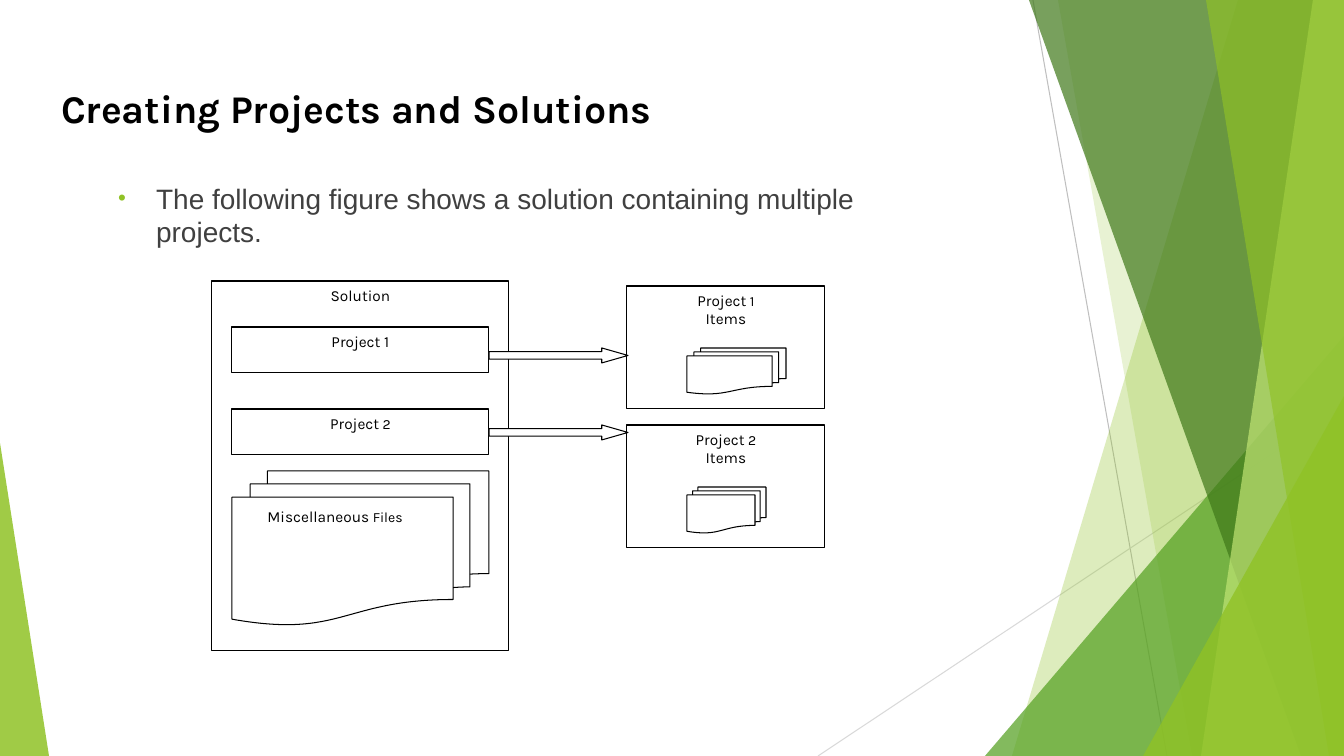
from lxml.etree import SubElement
from pptx import Presentation
from pptx.dml.color import RGBColor
from pptx.enum.shapes import MSO_CONNECTOR, MSO_SHAPE
from pptx.enum.text import MSO_ANCHOR, MSO_AUTO_SIZE, PP_ALIGN
from pptx.oxml.ns import qn
from pptx.util import Emu, Pt

BLACK = RGBColor(0x00, 0x00, 0x00)
WHITE = RGBColor(0xFF, 0xFF, 0xFF)
TEXT_GRAY = RGBColor(0x40, 0x40, 0x40)
LINE_GRAY = RGBColor(0xBF, 0xBF, 0xBF)
PALE_GRAY = RGBColor(0xD9, 0xD9, 0xD9)
LIME = RGBColor(0x90, 0xC2, 0x26)
LEAF = RGBColor(0x54, 0xA0, 0x21)
FOREST = RGBColor(0x3F, 0x78, 0x19)
PALE_LIME = RGBColor(0xC0, 0xE4, 0x74)

WIDTH, HEIGHT = 1344, 756
SCALE = 914400 / 100.8

TITLE = "Creating Projects and Solutions"
BODY = "The following figure shows a solution containing multiple projects."
TITLE_BOX = (51, 79, 966, 57)
BODY_BOX = (108, 176, 806, 84)
TITLE_FORMAT = {"name": "Karla", "size": Pt(28), "bold": True}
BODY_FORMAT = {"name": "Arial", "size": Pt(20)}

BACKGROUND_LINES = [
    ((1033, 0, 1167, 756), LINE_GRAY),
    ((1344, 406, 818, 756), PALE_GRAY),
]
BACKGROUND_SHAPES = [
    ("band", (1238, 1012), LIME, 30),
    ("band", (1058, 1192), LIME, 20),
    ("triangle", (985, 336, 359, 420, 1), LEAF, 72),
    ("band", (1029, 1301), FOREST, 70),
    ("band", (1313, 1201), PALE_LIME, 70),
    ("band", (1206, 1329), LIME, 65),
    ("triangle", (1143, 396, 201, 360, 1), LIME, 80),
    ("triangle", (0, 443, 49, 313, 0), LIME, 85),
]

RECTANGLE = MSO_SHAPE.RECTANGLE
DOCUMENTS = MSO_SHAPE.FLOWCHART_MULTIDOCUMENT
ARROW = MSO_SHAPE.RIGHT_ARROW
DIAGRAM = [
    (RECTANGLE, (212, 281, 297, 370), [[("Solution", 11)]]),
    (RECTANGLE, (232, 327, 257, 46), [[("Project 1", 11)]]),
    (RECTANGLE, (232, 409, 257, 46), [[("Project", 11), (" 2", 10)]]),
    (DOCUMENTS, (232, 471, 257, 154), []),
    (None, (236, 502, 198, 61), [[("Miscellaneous", 11), (" Files", 10)]]),
    (RECTANGLE, (627, 286, 198, 123), [[("Project", 11), (" 1", 10)], [("Items", 11)]]),
    (DOCUMENTS, (687, 348, 99, 46), []),
    (RECTANGLE, (627, 425, 198, 123), [[("Project", 11), (" 2", 10)], [("Items", 11)]]),
    (DOCUMENTS, (687, 487, 79, 46), []),
    (ARROW, (489, 348, 139, 15), []),
    (ARROW, (489, 425, 139, 15), []),
]


def emu(*pixels):
    return [Emu(round(value * SCALE)) for value in pixels]


def place(shape, box):
    shape.left, shape.top, shape.width, shape.height = emu(*box)


def add_run(paragraph, text, color, values):
    run = paragraph.add_run()
    run.text = text
    for name, value in values.items():
        setattr(run.font, name, value)
    run.font.color.rgb = color


def paint(shape, color, opacity=100):
    shape.shadow.inherit = False
    shape.fill.solid()
    shape.fill.fore_color.rgb = color
    if opacity < 100:
        color_element = shape.fill._xPr.find(qn("a:solidFill"))[0]
        SubElement(color_element, qn("a:alpha"), val=str(opacity * 1000))


def add_background(shapes):
    for ends, color in BACKGROUND_LINES:
        line = shapes.add_connector(MSO_CONNECTOR.STRAIGHT, *emu(*ends))
        line.line.color.rgb = color
        line.line.width = Pt(0.75)
        SubElement(line._element.spPr, qn("a:effectLst"))
    for kind, geometry, color, opacity in BACKGROUND_SHAPES:
        if kind == "band":
            top_left, bottom_left = geometry
            builder = shapes.build_freeform(top_left, 0, scale=SCALE)
            builder.add_line_segments([(WIDTH, 0), (WIDTH, HEIGHT), (bottom_left, HEIGHT)])
            shape = builder.convert_to_shape()
        else:
            *box, apex = geometry
            shape = shapes.add_shape(MSO_SHAPE.ISOSCELES_TRIANGLE, *emu(*box))
            shape.adjustments[0] = apex
        paint(shape, color, opacity)
        shape.line.fill.background()


def fill_placeholder(shape, box, text, color, values, anchor):
    place(shape, box)
    frame = shape.text_frame
    frame.auto_size = MSO_AUTO_SIZE.NONE
    frame.word_wrap = True
    frame.vertical_anchor = anchor
    paragraph = frame.paragraphs[0]
    paragraph.alignment = PP_ALIGN.LEFT
    paragraph.space_before = Pt(0)
    add_run(paragraph, text, color, values)
    return paragraph


def add_bullet(paragraph):
    properties = paragraph._p.get_or_add_pPr()
    indent, = emu(38)
    properties.set("marL", str(indent))
    properties.set("indent", str(-indent))
    bullet_color = SubElement(properties, qn("a:buClr"))
    SubElement(bullet_color, qn("a:srgbClr"), val=str(LIME))
    SubElement(properties, qn("a:buSzPct"), val="80000")
    SubElement(properties, qn("a:buFont"), typeface="Arial")
    SubElement(properties, qn("a:buChar"), char="•")


def add_diagram(shapes):
    for kind, box, paragraphs in DIAGRAM:
        if kind is None:
            shape = shapes.add_textbox(*emu(*box))
        else:
            shape = shapes.add_shape(kind, *emu(*box))
            paint(shape, WHITE)
            shape.line.color.rgb = BLACK
            shape.line.width = Pt(0.75)
        if kind == ARROW:
            shape.adjustments[0] = 0.5
            shape.adjustments[1] = 1.75
        frame = shape.text_frame
        frame.word_wrap = True
        frame.vertical_anchor = MSO_ANCHOR.TOP
        for index, runs in enumerate(paragraphs):
            paragraph = frame.add_paragraph() if index else frame.paragraphs[0]
            paragraph.alignment = PP_ALIGN.CENTER
            for text, size in runs:
                add_run(paragraph, text, BLACK, {"name": "Karla", "size": Pt(size)})


def main():
    presentation = Presentation()
    presentation.slide_width, presentation.slide_height = emu(WIDTH, HEIGHT)
    slide = presentation.slides.add_slide(presentation.slide_layouts[1])
    title, body = slide.placeholders
    add_background(slide.shapes)
    fill_placeholder(title, TITLE_BOX, TITLE, BLACK, TITLE_FORMAT, MSO_ANCHOR.MIDDLE)
    bullet = fill_placeholder(body, BODY_BOX, BODY, TEXT_GRAY, BODY_FORMAT, MSO_ANCHOR.TOP)
    add_bullet(bullet)
    add_diagram(slide.shapes)
    presentation.save("out.pptx")


if __name__ == "__main__":
    main()
